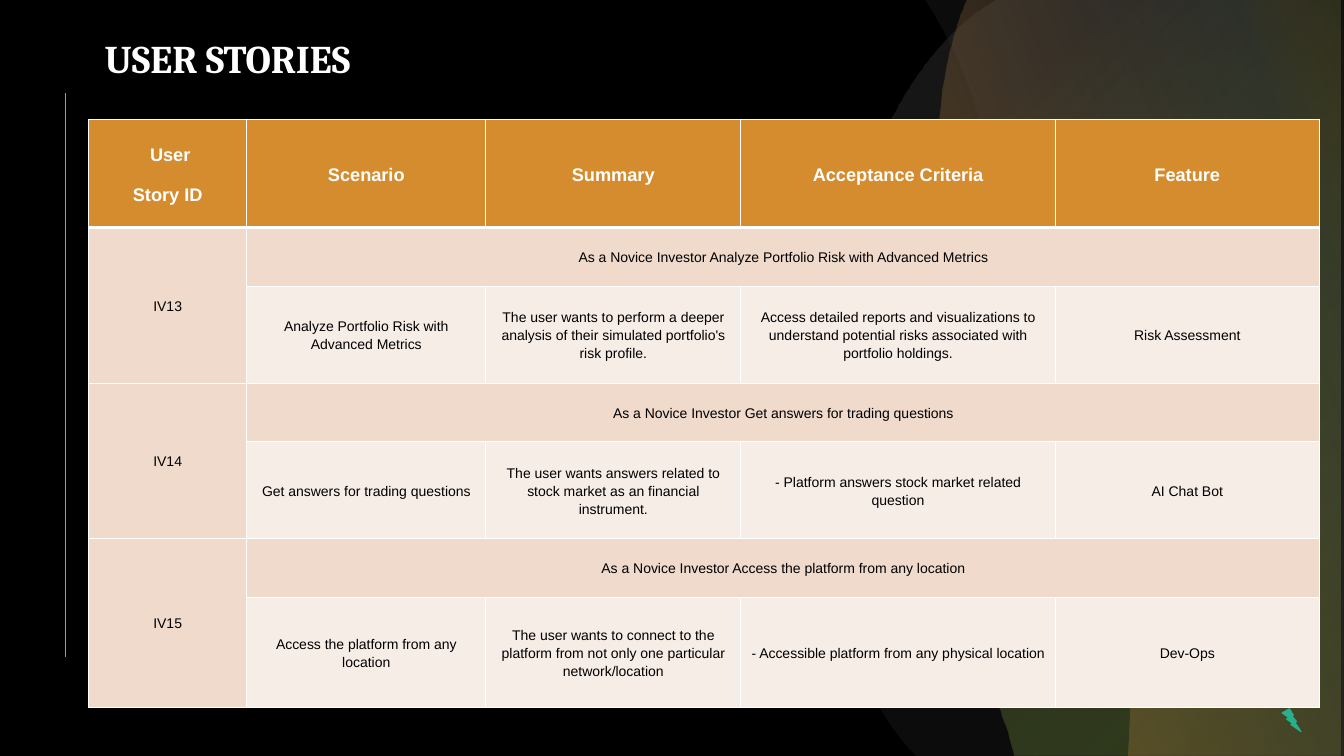
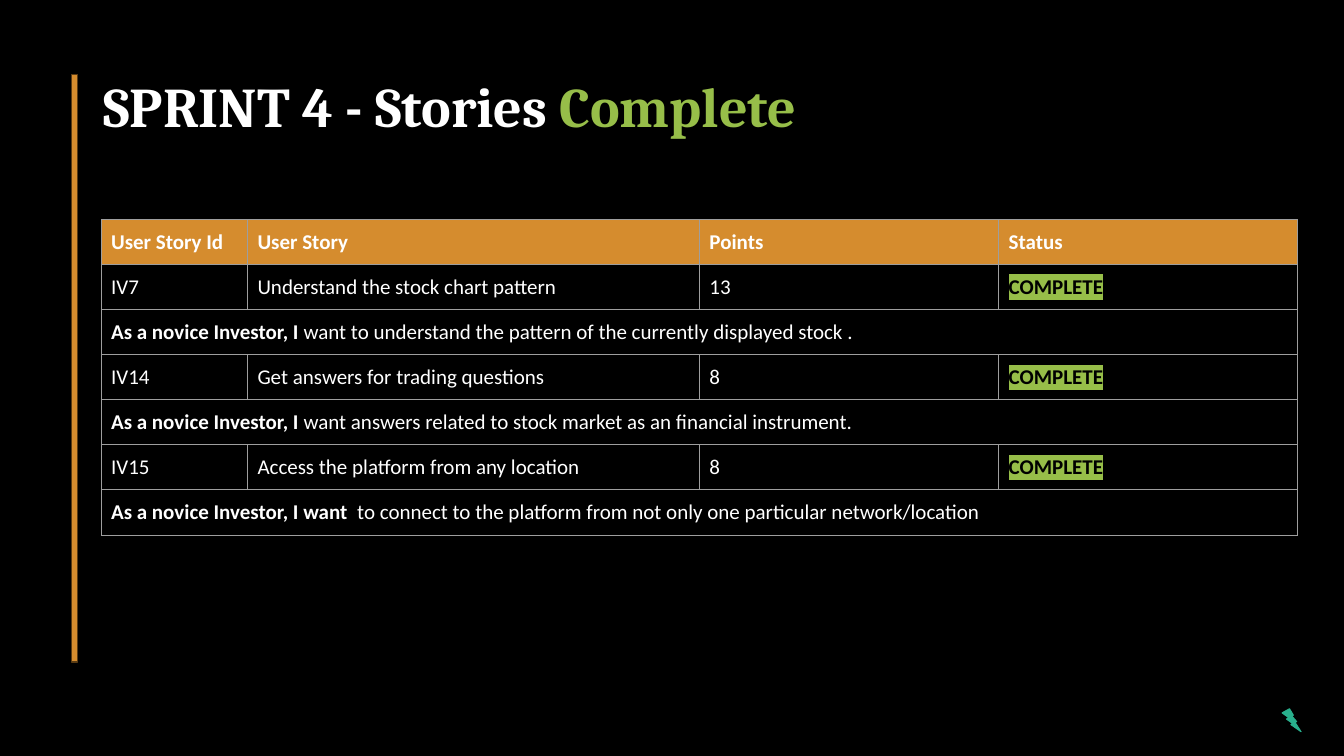
from pptx import Presentation
from pptx.dml.color import RGBColor
from pptx.enum.shapes import MSO_CONNECTOR as LINK, MSO_SHAPE as SHAPE
from pptx.enum.text import MSO_ANCHOR as ANCHOR, PP_ALIGN as ALIGN
from pptx.oxml import parse_xml
from pptx.oxml.ns import nsdecls
from pptx.util import Cm, Pt

BLACK = RGBColor(0x00, 0x00, 0x00)
WHITE = RGBColor(0xFF, 0xFF, 0xFF)
ORANGE = RGBColor(0xD5, 0x8C, 0x2E)
BROWN = RGBColor(0x59, 0x3B, 0x13)
GREEN = RGBColor(0x97, 0xBE, 0x49)
TEAL = RGBColor(0x29, 0xAF, 0x8C)
PEACH = RGBColor(0xEF, 0xDA, 0xCC)
CREAM = RGBColor(0xF7, 0xED, 0xE7)
GREY = RGBColor(0x59, 0x59, 0x59)
DARK = RGBColor(0x2C, 0x2C, 0x2C)
SILVER = RGBColor(0x9E, 0x9E, 0x9E)
NS = nsdecls("a")


def write(para, text, font, size, color, bold=False, mark=None):
    run = para.add_run()
    run.text = text
    run.font.size = Pt(size)
    run.font.bold = bold
    run.font.color.rgb = color
    if mark is not None:
        run.font._element.append(parse_xml(
            f'<a:highlight {NS}><a:srgbClr val="{mark}"/></a:highlight>'))
    run.font.name = font


def dress(cell, fill, edge, width, top, foot):
    props = cell._tc.get_or_add_tcPr()
    for side, size in zip("LRTB", (width, width, top, foot)):
        if size:
            props.append(parse_xml(
                f'<a:ln{side} {NS} w="{Pt(size)}"><a:solidFill>'
                f'<a:srgbClr val="{edge}"/></a:solidFill></a:ln{side}>'))
    if fill is None:
        cell.fill.background()
    else:
        cell.fill.solid()
        cell.fill.fore_color.rgb = fill


deck = Presentation()
deck.slide_width = Cm(33.87)
deck.slide_height = Cm(19.05)

titles = [
    (2.39, 0.46, 29.77, 2.16, 28, [("USER STORIES", WHITE)]),
    (2.36, 1.56, 27.53, 2.41, 40,
     [("SPRINT 4 - Stories ", WHITE), ("Complete", GREEN)]),
]
slides = [deck.slides.add_slide(deck.slide_layouts[6]) for _ in titles]
first, second = slides

rule = first.shapes.add_connector(
    LINK.STRAIGHT, Cm(1.65), Cm(2.35), Cm(1.65), Cm(16.56))
rule.line.color.rgb = SILVER
rule.line.width = Pt(0.75)
rule._element.spPr.append(parse_xml(f"<a:effectLst {NS}/>"))

SOLID = '<a:lin ang="0" scaled="0"/>'
LINEAR = '<a:lin ang="15000000" scaled="0"/>'
RADIAL = ('<a:path path="circle">'
          '<a:fillToRect l="100000" t="100000" r="0" b="0"/></a:path>')
waves = [
    ([(23.32, 0), (33.87, 0), (33.87, 19.05), (23.09, 19.05), (23.06, 19.02),
      (22.1, 18.03, 21.29, 16.46, 21.31, 14.43),
      (21.34, 10.85, 24.89, 9.3, 24.97, 5.46),
      (25.02, 3.07, 24.13, 1.32, 23.37, 0.08)],
     [(0, GREY, 14), (100, GREY, 14)], SOLID),
    ([(25.1, 0), (33.78, 0), (33.78, 19.05), (25.55, 19.05), (25.43, 18.57),
      (24.28, 14.81, 21.34, 12.5, 21.31, 8.18),
      (21.29, 4.19, 23.09, 1.4, 24.71, 0.25)],
     [(0, GREEN, 24), (4, GREEN, 24), (79, DARK, 52), (100, DARK, 52)], RADIAL),
    ([(24.36, 0), (33.87, 0), (33.87, 19.05), (28.4, 19.05), (28.45, 18.31),
      (28.47, 17.98, 28.47, 17.63, 28.47, 17.3),
      (28.37, 11.63, 23.67, 9.35, 23.65, 4.04),
      (23.62, 2.69, 23.83, 1.5, 24.18, 0.46)],
     [(0, ORANGE, 38), (1, ORANGE, 38), (84, GREY, 20), (100, ORANGE, 3)],
     LINEAR),
]
for parts, stops, shade in waves:
    across = [part[-2] for part in parts]
    midx = (min(across) + max(across)) / 2
    midy = 19.05 / 2
    turned = [[(Cm(midx + y - midy), Cm(midy + midx - x))
               for x, y in zip(part[::2], part[1::2])] for part in parts]
    pen = first.shapes.build_freeform(*turned[0][-1])
    pen.add_line_segments([dots[-1] for dots in turned[1:]], close=True)
    wave = pen.convert_to_shape()
    lines = list(wave._element.iter("{*}lnTo"))
    for line, dots in zip(lines, turned[1:]):
        if len(dots) == 3:
            points = "".join(f'<a:pt x="{x - wave.left}" y="{y - wave.top}"/>'
                             for x, y in dots)
            line.getparent().replace(line, parse_xml(
                f"<a:cubicBezTo {NS}>{points}</a:cubicBezTo>"))
    wave.rotation = 90
    wave.shadow.inherit = False
    wave.line.fill.background()
    wave.fill.background()
    marks = "".join(
        f'<a:gs pos="{place * 1000}"><a:srgbClr val="{color}">'
        f'<a:alpha val="{alpha * 1000}"/></a:srgbClr></a:gs>'
        for place, color, alpha in stops)
    paint = (f'<a:gradFill {NS} rotWithShape="1"><a:gsLst>{marks}</a:gsLst>'
             f"{shade}</a:gradFill>")
    if shade == SOLID:
        _, color, alpha = stops[0]
        paint = (f'<a:solidFill {NS}><a:srgbClr val="{color}">'
                 f'<a:alpha val="{alpha * 1000}"/></a:srgbClr></a:solidFill>')
    props = wave._element.spPr
    props.replace(props.find("{*}noFill"), parse_xml(paint))

for slide, (left, top, width, height, size, runs) in zip(slides, titles):
    slide.background.fill.solid()
    slide.background.fill.fore_color.rgb = BLACK
    box = slide.shapes.add_textbox(Cm(left), Cm(top), Cm(width), Cm(height))
    frame = box.text_frame
    frame.word_wrap = True
    frame.vertical_anchor = ANCHOR.MIDDLE
    para = frame.paragraphs[0]
    para.line_spacing = 0.9
    for text, color in runs:
        write(para, text, "Cambria", size, color, True)
    bolt = slide.shapes.add_shape(
        SHAPE.LIGHTNING_BOLT, Cm(32.31), Cm(17.86), Cm(0.48), Cm(0.58))
    bolt.shadow.inherit = False
    bolt.fill.solid()
    bolt.fill.fore_color.rgb = TEAL
    bolt.line.color.rgb = TEAL
    bolt.line.width = Pt(0.75)

bar = second.shapes.add_shape(
    SHAPE.RECTANGLE, Cm(1.81), Cm(1.88), Cm(0.14), Cm(14.8))
bar.shadow.inherit = False
bar.fill.solid()
bar.fill.fore_color.rgb = ORANGE
bar.line.color.rgb = BROWN
bar.line.width = Pt(1)

plans = [
    ("IV13", "Analyze Portfolio Risk with Advanced Metrics",
     "The user wants to perform a deeper analysis of their simulated "
     "portfolio's risk profile.",
     "Access detailed reports and visualizations to understand potential "
     "risks associated with portfolio holdings.", "Risk Assessment"),
    ("IV14", "Get answers for trading questions",
     "The user wants answers related to stock market as an financial "
     "instrument.",
     "- Platform answers stock market related question", "AI Chat Bot"),
    ("IV15", "Access the platform from any location",
     "The user wants to connect to the platform from not only one particular "
     "network/location",
     "- Accessible platform from any physical location", "Dev-Ops"),
]
rows = [[" User\nStory ID", "Scenario", "Summary", "Acceptance Criteria",
         "Feature"]]
for name, *facts in plans:
    rows.append([name, f"As a Novice Investor {facts[0]}", "", "", ""])
    rows.append(["", *facts])
wide = [3.99, 6.02, 6.43, 7.92, 6.66]
high = [2.72, 1.48, 2.44, 1.48, 2.44, 1.48, 2.77]
grid = first.shapes.add_table(
    len(rows), len(wide), Cm(2.23), Cm(3.01), Cm(sum(wide)),
    Cm(sum(high))).table
grid.first_row = grid.horz_banding = False
for col, size in zip(grid.columns, wide):
    col.width = Cm(size)
for r, texts in enumerate(rows):
    grid.rows[r].height = Cm(high[r])
    for c, text in enumerate(texts):
        cell = grid.cell(r, c)
        fill = ORANGE if r == 0 else PEACH if c == 0 or r % 2 else CREAM
        foot = 3 if r == 0 else 0 if c == 0 and r > 4 else 0.6
        dress(cell, fill, WHITE, 0.6, 3 if r == 1 else 0.6, foot)
        cell.vertical_anchor = ANCHOR.MIDDLE
        for n, line in enumerate(text.split("\n")):
            frame = cell.text_frame
            para = frame.add_paragraph() if n else frame.paragraphs[0]
            para.alignment = ALIGN.CENTER
            para.line_spacing = 1.15
            if n:
                para.space_before = Pt(12)
            if line:
                write(para, line, "Arial", 10 if r else 13,
                      BLACK if r else WHITE, r == 0)
for r in range(1, len(rows), 2):
    grid.cell(r, 0).merge(grid.cell(r + 1, 0))
    grid.cell(r, 1).merge(grid.cell(r, 4))

tales = [
    ("IV7", "Understand the stock chart pattern", "13",
     "As a novice Investor, I ",
     "want to understand the pattern of the currently displayed stock ."),
    ("IV14", "Get answers for trading questions", "8",
     "As a novice Investor, I ",
     "want answers related to stock market as an financial instrument."),
    ("IV15", "Access the platform from any location", "8",
     "As a novice Investor, I want",
     "  to connect to the platform from not only one particular "
     "network/location"),
]
heads = ["User Story Id", "User Story", "Points", "Status"]
rows = [[[(head, WHITE, True, None)] for head in heads]]
for *facts, lead, rest in tales:
    rows.append([[(fact, WHITE, False, None)] for fact in facts]
                + [[("COMPLETE", BLACK, True, GREEN)]])
    rows.append([[(lead, WHITE, True, None), (rest, WHITE, False, None)],
                 [], [], []])
wide = [3.69, 11.39, 7.54, 7.53]
tall = 1.04
grid = second.shapes.add_table(
    len(rows), len(wide), Cm(2.55), Cm(5.53), Cm(sum(wide)),
    Cm(tall * len(rows))).table
grid.first_row = grid.horz_banding = False
for col, size in zip(grid.columns, wide):
    col.width = Cm(size)
for r, cells in enumerate(rows):
    grid.rows[r].height = Cm(tall)
    for c, runs in enumerate(cells):
        cell = grid.cell(r, c)
        dress(cell, None if r else ORANGE, SILVER, 0.75, 0.75, 0.75)
        cell.margin_left = cell.margin_right = Cm(0.25)
        cell.margin_top = cell.margin_bottom = Cm(0.25)
        for text, color, bold, mark in runs:
            write(cell.text_frame.paragraphs[0], text, "Calibri", 15,
                  color, bold, mark)
for r in range(2, len(rows), 2):
    grid.cell(r, 0).merge(grid.cell(r, 3))

deck.save("out.pptx")
